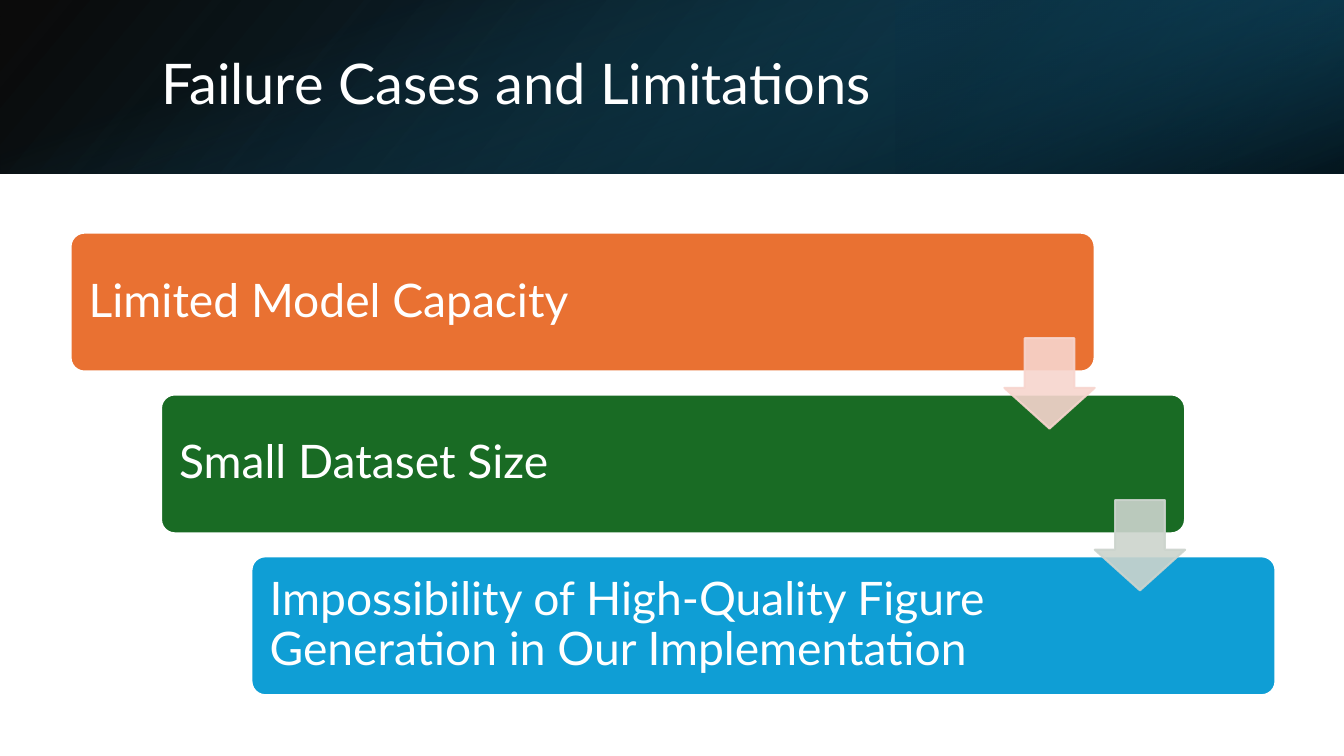
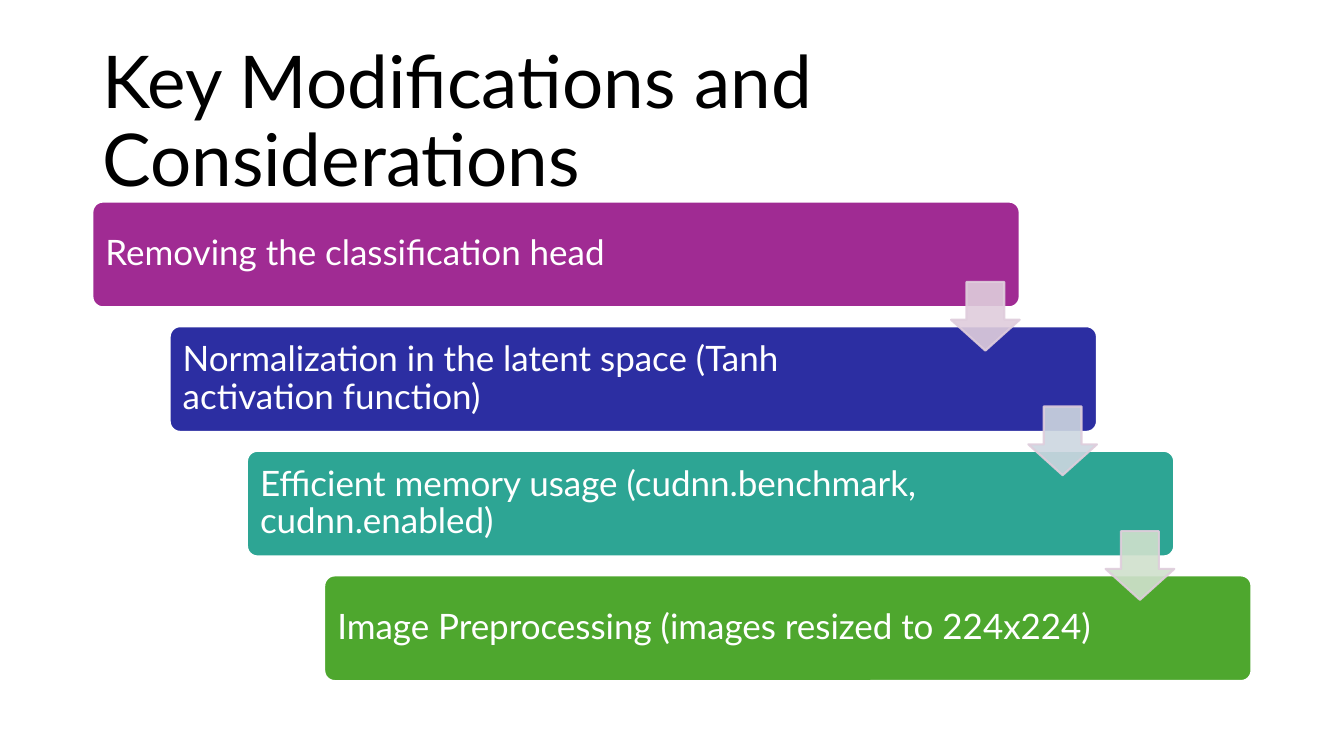
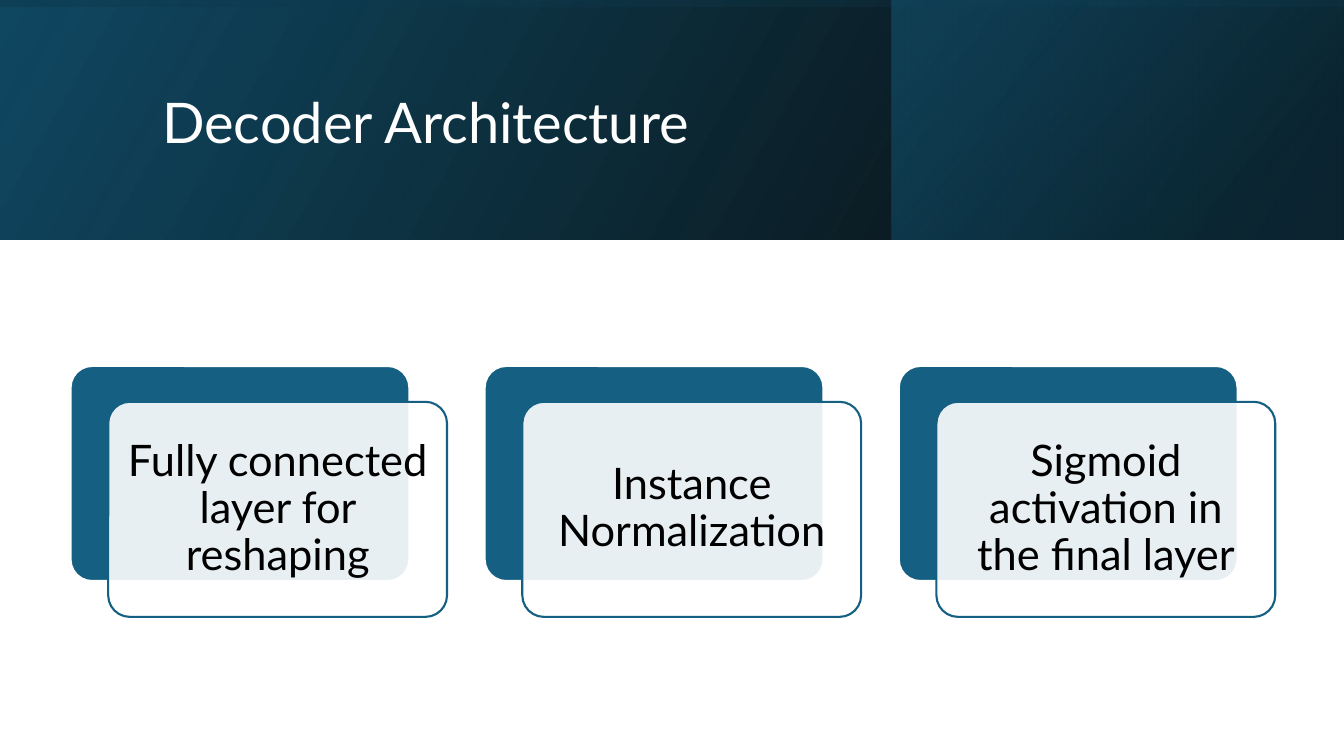
from dataclasses import dataclass

import pptx
import pptx.dml.color
import pptx.enum.shapes
import pptx.enum.text
import pptx.oxml.ns
import pptx.util
from pptx.util import Pt

SLIDE_WIDTH, SLIDE_HEIGHT = 960, 540
FONT = "Lato"
WHITE, BLACK = "FFFFFF", "000000"
TEAL, DEEP_TEAL, NAVY = "156082", "104862", "0B3041"
LINE_WIDTH = 1.5
SHAPES = pptx.enum.shapes.MSO_SHAPE
LEFT, CENTER = pptx.enum.text.PP_ALIGN.LEFT, pptx.enum.text.PP_ALIGN.CENTER


@dataclass(frozen=True)
class Box:
    left: float
    top: float
    width: float
    height: float

    def inset(self, margin: float) -> "Box":
        return Box(self.left + margin, self.top + margin,
                   self.width - 2 * margin, self.height - 2 * margin)

    def shifted(self, across: float, down: float) -> "Box":
        return Box(self.left + across, self.top + down, self.width, self.height)

    def lengths(self) -> tuple:
        return Pt(self.left), Pt(self.top), Pt(self.width), Pt(self.height)


@dataclass(frozen=True)
class Stop:
    position: float
    color: str
    opacity: float = 100


@dataclass(frozen=True)
class Band:
    box: Box
    stops: tuple[Stop, Stop]
    angle: float
    rotation: float = 0
    flipped: bool = True


@dataclass(frozen=True)
class Step:
    text: str
    color: str
    arrow_fill: str = ""
    arrow_line: str = ""


@dataclass(frozen=True)
class Staircase:
    first: Box
    across: float
    down: float
    first_text_width: float
    text_width: float
    text_size: float
    text_margin: float
    steps: tuple[Step, ...]


def rgb(color: str) -> pptx.dml.color.RGBColor:
    return pptx.dml.color.RGBColor.from_string(color)


def set_opacity(element, percent: float) -> None:
    """Make every colour inside the element partly transparent."""
    for color in element.iter(pptx.oxml.ns.qn("a:srgbClr")):
        alpha = color.makeelement(pptx.oxml.ns.qn("a:alpha"), {"val": str(round(percent * 1000))})
        color.append(alpha)


def add_filled_shape(slide, kind, box: Box, fill: str, line: str,
                     fill_opacity: float = 100, line_opacity: float = 100):
    shape = slide.shapes.add_shape(kind, *box.lengths())
    shape.shadow.inherit = False
    properties = shape._element.spPr
    shape.fill.solid()
    shape.fill.fore_color.rgb = rgb(fill)
    if fill_opacity < 100:
        set_opacity(properties, fill_opacity)
    shape.line.color.rgb = rgb(line)
    shape.line.width = Pt(LINE_WIDTH)
    if line_opacity < 100:
        set_opacity(properties.find(pptx.oxml.ns.qn("a:ln")), line_opacity)
    return shape


def add_rounded_box(slide, box: Box, fill: str, line: str, fill_opacity: float = 100) -> None:
    shape = add_filled_shape(slide, SHAPES.ROUNDED_RECTANGLE, box, fill, line, fill_opacity)
    shape.adjustments[0] = 0.1


def add_arrow(slide, box: Box, fill: str, line: str) -> None:
    arrow = add_filled_shape(slide, SHAPES.DOWN_ARROW, box, fill, line, 90, 90)
    arrow.adjustments[0] = 0.55
    arrow.adjustments[1] = 0.45


def write_text(frame, text: str, size: float, color: str, alignment=LEFT) -> None:
    frame.word_wrap = True
    frame.auto_size = pptx.enum.text.MSO_AUTO_SIZE.NONE
    frame.vertical_anchor = pptx.enum.text.MSO_ANCHOR.MIDDLE
    paragraph = frame.paragraphs[0]
    paragraph.alignment = alignment
    paragraph.line_spacing = 0.9
    run = paragraph.add_run()
    run.text = text
    run.font.name = FONT
    run.font.size = Pt(size)
    run.font.color.rgb = rgb(color)


def add_label(slide, box: Box, text: str, size: float, color: str,
              margin: float, alignment=LEFT) -> None:
    frame = slide.shapes.add_textbox(*box.lengths()).text_frame
    frame.margin_left = frame.margin_right = Pt(margin)
    frame.margin_top = frame.margin_bottom = Pt(margin)
    write_text(frame, text, size, color, alignment)


def add_band(slide, band: Band) -> None:
    shape = slide.shapes.add_shape(SHAPES.RECTANGLE, *band.box.lengths())
    shape.shadow.inherit = False
    shape.line.fill.background()
    shape.rotation = band.rotation
    if band.flipped:
        shape._element.spPr.xfrm.set("flipH", "1")
    shape.fill.gradient()
    shape.fill.gradient_angle = 360 - band.angle
    for gradient_stop, stop in zip(shape.fill.gradient_stops, band.stops):
        gradient_stop.position = stop.position / 100
        gradient_stop.color.rgb = rgb(stop.color)
    gradient = shape._element.spPr.find(pptx.oxml.ns.qn("a:gradFill"))
    for element, stop in zip(gradient.iter(pptx.oxml.ns.qn("a:gs")), band.stops):
        set_opacity(element, stop.opacity)


def full_band(height: float, angle: float) -> Band:
    return Band(Box(0, 0, SLIDE_WIDTH, height), (Stop(0, BLACK, 96), Stop(100, DEEP_TEAL)), angle)


def turned_band(height: float, stops: tuple[Stop, Stop], angle: float,
                rotation: float, flipped: bool) -> Band:
    """A tall rectangle that covers the full-width band once it is rotated."""
    offset = (SLIDE_WIDTH - height) / 2
    return Band(Box(offset, -offset, height, SLIDE_WIDTH), stops, angle, rotation, flipped)


def add_titled_slide(presentation, title: str, box: Box, size: float, color: str,
                     bands: tuple[Band, ...] = ()):
    slide = presentation.slides.add_slide(presentation.slide_layouts[5])
    for band in bands:
        add_band(slide, band)
    placeholder = slide.shapes.title
    placeholder.left, placeholder.top, placeholder.width, placeholder.height = box.lengths()
    write_text(placeholder.text_frame, title, size, color)
    slide.shapes._spTree.append(placeholder._element)
    return slide


def add_staircase(slide, stairs: Staircase) -> None:
    boxes = [stairs.first.shifted(index * stairs.across, index * stairs.down)
             for index in range(len(stairs.steps))]
    height = stairs.first.height
    for index, (step, box) in enumerate(zip(stairs.steps, boxes)):
        add_rounded_box(slide, box, step.color, WHITE)
        inner = box.inset(0.03 * height)
        width = stairs.text_width if index else stairs.first_text_width
        add_label(slide, Box(inner.left, inner.top, width, inner.height),
                  step.text, stairs.text_size, WHITE, stairs.text_margin)
    arrow_size = 0.65 * height
    for step, box in zip(stairs.steps[:-1], boxes):
        arrow_box = Box(box.left + box.width - arrow_size, box.top + 0.76 * height,
                        arrow_size, arrow_size)
        add_arrow(slide, arrow_box, step.arrow_fill, step.arrow_line)


def build_limitations(presentation) -> None:
    height = 124
    bands = (
        full_band(height, 140),
        Band(Box(640, 0, 320, height), (Stop(19, NAVY, 68), Stop(100, TEAL, 79)), 320, 180),
        turned_band(height, (Stop(23, TEAL, 0), Stop(99, BLACK, 74)), 340, 90, False),
    )
    slide = add_titled_slide(presentation, "Failure Cases and Limitations",
                             Box(108.3, 27.4, 790.5, 69), 40, WHITE, bands)
    add_staircase(slide, Staircase(
        Box(50.4, 166.2, 731.5, 99.2), 64.6, 115.6, 624.2, 596.9, 33, 10, (
            Step("Limited Model Capacity", "E97132", "F7D5CE", "F7D5CE"),
            Step("Small Dataset Size", "196B24", "CCD4CD", "CCD4CD"),
            Step("Impossibility of High-Quality Figure Generation in Our Implementation",
                 "0F9ED5"),
        )))


def build_modifications(presentation) -> None:
    slide = add_titled_slide(presentation, "Key Modifications and Considerations",
                             Box(66, 44, 828, 89.3), 52, BLACK)
    arrow_line = "DFCDDC"
    add_staircase(slide, Staircase(
        Box(66, 144, 662.4, 75.5), 55.2, 89, 574.6, 553.9, 25, 7.2, (
            Step("Removing the classification head", "A02B93", "DFCDDC", arrow_line),
            Step("Normalization in the latent space (Tanh activation function)",
                 "2C2EA2", "CDD6E0", arrow_line),
            Step("Efficient memory usage (cudnn.benchmark, cudnn.enabled)",
                 "2DA594", "D0E1CD", arrow_line),
            Step("Image Preprocessing (images resized to 224x224)", "4EA72E"),
        )))


def build_decoder(presentation) -> None:
    height = 170.8
    bands = (
        full_band(height, 330),
        Band(Box(636.6, 0, 322.8, height), (Stop(19, NAVY, 68), Stop(100, TEAL, 48)), 320),
        turned_band(height, (Stop(23, DEEP_TEAL, 16), Stop(99, BLACK, 45)), 350, 270, True),
    )
    slide = add_titled_slide(presentation, "Decoder Architecture",
                             Box(108.7, 27.4, 765.4, 123.8), 40, WHITE, bands)
    first_card = Box(50.4, 261.4, 242, 153.6)
    layers = ("Fully connected layer for reshaping", "Instance Normalization",
              "Sigmoid activation in the final layer")
    for index, layer in enumerate(layers):
        back = first_card.shifted(index * 295.8, 0)
        front = back.shifted(26.9, 25.6)
        add_rounded_box(slide, back, TEAL, WHITE)
        add_rounded_box(slide, front, WHITE, TEAL, 90)
        add_label(slide, front.inset(4.5), layer, 31, BLACK, 9.3, CENTER)


def main() -> None:
    presentation = pptx.Presentation()
    presentation.slide_width = Pt(SLIDE_WIDTH)
    presentation.slide_height = Pt(SLIDE_HEIGHT)
    build_limitations(presentation)
    build_modifications(presentation)
    build_decoder(presentation)
    presentation.save("out.pptx")


if __name__ == "__main__":
    main()
